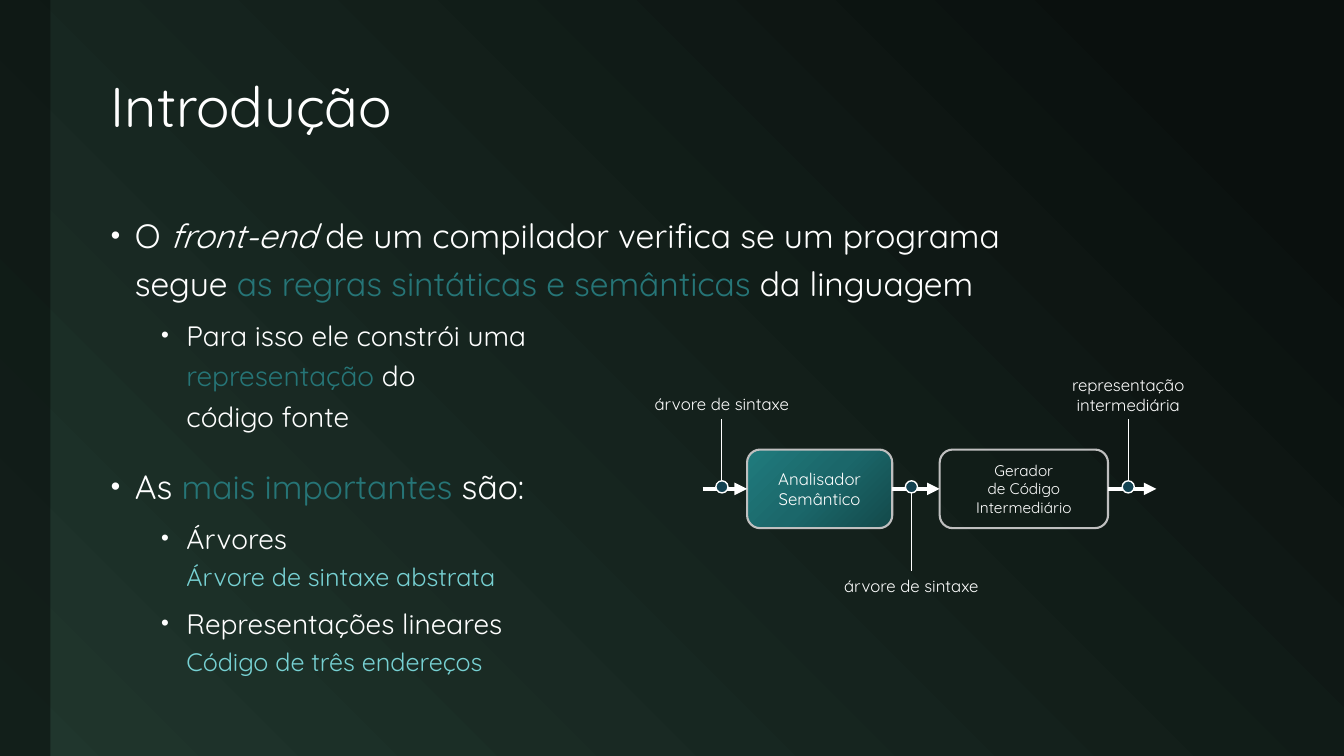
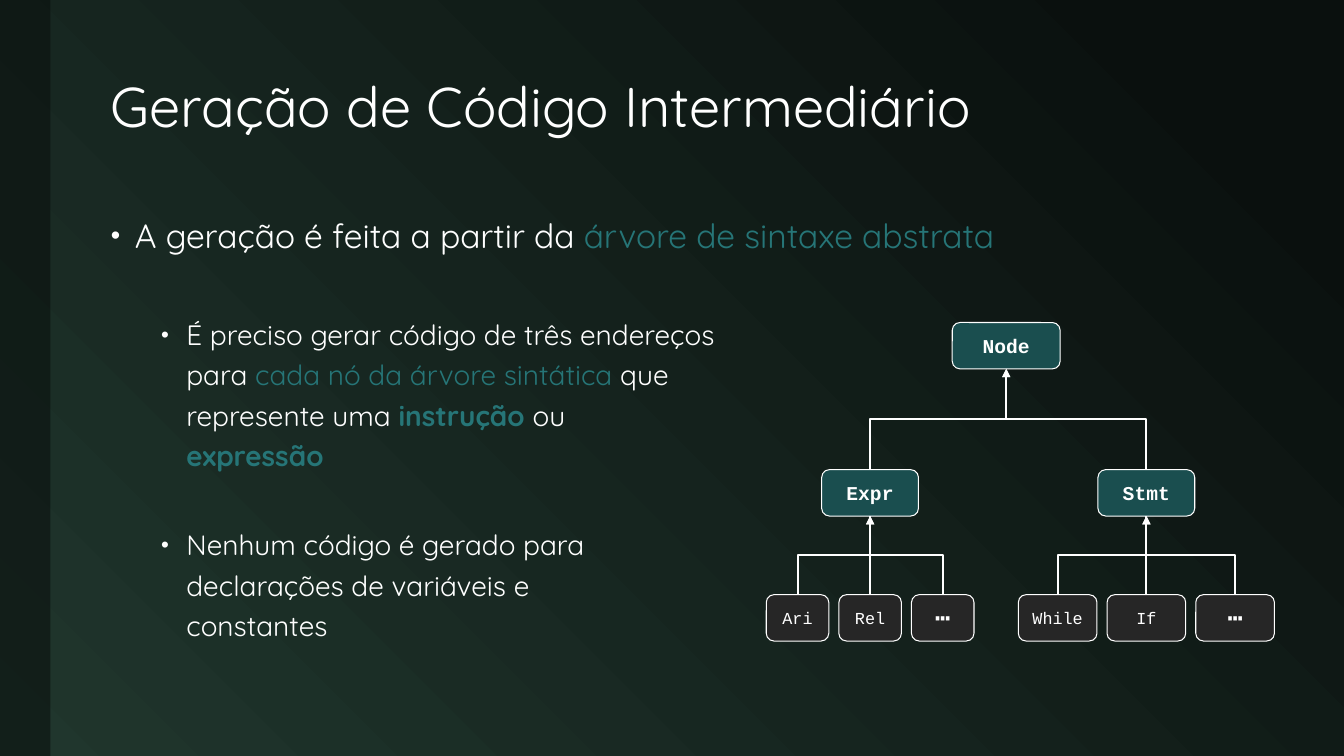
from lxml import etree
from pptx import Presentation
from pptx.dml.color import RGBColor
from pptx.enum.shapes import MSO_CONNECTOR as LINK, MSO_SHAPE as SHAPE
from pptx.enum.text import MSO_ANCHOR as ANCHOR, MSO_AUTO_SIZE as FIT, PP_ALIGN as ALIGN
from pptx.oxml.ns import qn
from pptx.util import Inches, Pt

COLORS = {
    "night": "0A100E", "forest": "20362D", "white": "FFFFFF", "silver": "BFBFBF",
    "term": "267577", "note": "77D1D3", "marker": "134251", "node": "1A4E4F", "leaf": "262626",
    "box_dark": "13494A", "box_mid": "1B676A", "box_light": "207B7D",
}
SANS, MONO = "Quicksand", "Courier New"
RUN_STYLES = {
    "plain": {},
    "italic": {"italic": True},
    "term": {"color": "term"},
    "strong": {"color": "term", "bold": True},
    "note": {"color": "note", "size": 18},
}
LEVELS = [
    {"size": 24, "margin": 0.24, "hanging": 0.24, "before": 18},
    {"size": 20, "margin": 0.75, "hanging": 0.25, "before": 6},
]
INTRO = [
    (0, None, [("O ", "plain"), ("front-end", "italic"),
               (" de um compilador verifica se um programa\nsegue ", "plain"),
               ("as regras sintáticas e semânticas", "term"), (" da linguagem", "plain")]),
    (1, None, [("Para isso ele constrói uma\n", "plain"), ("representação ", "term"),
               ("do\ncódigo fonte", "plain")]),
    (0, None, [("As ", "plain"), ("mais importantes ", "term"), ("são:", "plain")]),
    (1, None, [("Árvores\n", "plain"), ("Árvore de sintaxe abstrata", "note")]),
    (1, None, [("Representações lineares\n", "plain"), ("Código de três endereços", "note")]),
]
GENERATION = [
    (0, None, [("A geração é feita a partir da ", "plain"), ("árvore de sintaxe abstrata", "term")]),
    (1, 40, [("É preciso gerar código de três endereços\npara ", "plain"),
             ("cada nó da árvore sintática", "term"), (" que\nrepresente uma ", "plain"),
             ("instrução ", "strong"), ("ou\n", "plain"), ("expressão", "strong")]),
    (1, 35, [("Nenhum código é gerado para\ndeclarações de variáveis e\nconstantes", "plain")]),
]


def rgb(name):
    return RGBColor.from_string(COLORS[name])


def style_font(font, size, color="white", face=SANS, bold=False, italic=False):
    font.name, font.size, font.bold, font.italic = face, Pt(size), bold, italic
    font.color.rgb = rgb(color)


def set_gradient(fill, owner, stops, angle):
    fill.gradient()
    fill.gradient_angle = angle
    stop_list = owner.find(".//" + qn("a:gsLst"))
    for old_stop in list(stop_list):
        stop_list.remove(old_stop)
    for position, color in stops:
        stop = etree.SubElement(stop_list, qn("a:gs"), pos=str(position * 1000))
        etree.SubElement(stop, qn("a:srgbClr"), val=COLORS[color])


def add_filled(slide, preset, place, color=None, border=None, weight=1):
    shape = slide.shapes.add_shape(preset, *(Inches(value) for value in place))
    shape.shadow.inherit = False
    if color:
        shape.fill.solid()
        shape.fill.fore_color.rgb = rgb(color)
    else:
        shape.fill.background()
    if border:
        shape.line.color.rgb = rgb(border)
        shape.line.width = Pt(weight)
    else:
        shape.line.fill.background()
    return shape


def write_centered(frame, text, size, **font_style):
    frame.text = text
    for paragraph in frame.paragraphs:
        paragraph.alignment = ALIGN.CENTER
        for run in paragraph.runs:
            style_font(run.font, size, **font_style)


def add_box(slide, place, text, size, color=None, border="white", weight=0.75, **font_style):
    box = add_filled(slide, SHAPE.ROUNDED_RECTANGLE, place, color, border, weight)
    box.text_frame.word_wrap = True
    box.text_frame.vertical_anchor = ANCHOR.MIDDLE
    write_centered(box.text_frame, text, size, **font_style)
    return box


def add_label(slide, place, text):
    frame = slide.shapes.add_textbox(*(Inches(value) for value in place)).text_frame
    frame.word_wrap = False
    frame.auto_size = FIT.SHAPE_TO_FIT_TEXT
    write_centered(frame, text, 12)


def add_link(slide, start, end, weight, arrow=False, kind=LINK.STRAIGHT):
    link = slide.shapes.add_connector(kind, *start, *end)
    link.line.color.rgb = rgb("white")
    link.line.width = Pt(weight)
    properties = link.element.spPr
    if arrow:
        etree.SubElement(properties.find(qn("a:ln")), qn("a:tailEnd"), type="triangle")
    etree.SubElement(properties, qn("a:effectLst"))
    return link


def link_to_parent(slide, child, parent):
    x1, y1 = child.left + child.width // 2, child.top
    x2, y2 = parent.left + parent.width // 2, parent.top + parent.height
    straight = abs(x1 - x2) < Inches(0.02)
    kind = LINK.STRAIGHT if straight else LINK.ELBOW
    link = add_link(slide, (x1, y1), (x2, y2), 1.5, not straight, kind)
    link.begin_connect(child, 0)
    link.end_connect(parent, 2)
    if straight:
        return
    rise, run = y1 - y2, abs(x1 - x2)
    link.left, link.top = (x1 + x2 - rise) // 2, (y1 + y2 - run) // 2
    link.width, link.height = rise, run
    from_left = x1 < x2
    link.rotation = 90 if from_left else 270
    link.element.spPr.find(qn("a:xfrm")).set("flipH", "1" if from_left else "0")


def add_bullet(paragraph, level):
    properties = paragraph._p.get_or_add_pPr()
    properties.set("marL", str(Inches(level["margin"])))
    properties.set("indent", str(-Inches(level["hanging"])))
    etree.SubElement(properties, qn("a:buSzPct"), val="80000")
    etree.SubElement(properties, qn("a:buFont"), typeface="Arial")
    etree.SubElement(properties, qn("a:buChar"), char="•")


def add_topics(slide, topics):
    frame = slide.shapes.add_textbox(Inches(1), Inches(2), Inches(11.65), Inches(4.83)).text_frame
    frame.word_wrap = True
    for index, (depth, before, parts) in enumerate(topics):
        paragraph = frame.add_paragraph() if index else frame.paragraphs[0]
        level = LEVELS[depth]
        paragraph.level = depth
        add_bullet(paragraph, level)
        paragraph.line_spacing = 1.2
        if index:
            paragraph.space_before = Pt(before or level["before"])
        for text, style in parts:
            for number, line in enumerate(text.split("\n")):
                if number:
                    paragraph.add_line_break()
                if line:
                    run = paragraph.add_run()
                    run.text = line
                    style_font(run.font, **{"size": level["size"], **RUN_STYLES[style]})


def add_topic_slide(prs, title_text, topics):
    slide = prs.slides.add_slide(prs.slide_layouts[5])
    band = add_filled(slide, SHAPE.RECTANGLE, (0, 0, 0.5, 7.5), "night")
    band_color = band.element.spPr.find(qn("a:solidFill"))[0]
    etree.SubElement(band_color, qn("a:alpha"), val="60000")
    title = slide.shapes.title
    title.left, title.top, title.width, title.height = map(Inches, (1, 0.42, 11.65, 1.33))
    frame = title.text_frame
    frame.text = title_text
    frame.auto_size = FIT.NONE
    frame.vertical_anchor = ANCHOR.MIDDLE
    heading = frame.paragraphs[0]
    heading.alignment = ALIGN.LEFT
    heading.line_spacing = 0.9
    style_font(heading.runs[0].font, 40)
    add_topics(slide, topics)
    return slide


def draw_pipeline(slide):
    axis, height, dot = 4.85, 0.78, 0.12
    top = axis - height / 2
    analyzer = add_box(slide, (7.41, top, 1.44, height), "Analisador\nSemântico", 12,
                       "box_dark", "silver", 1.5)
    set_gradient(analyzer.fill, analyzer.element.spPr,
                 [(0, "box_dark"), (50, "box_mid"), (100, "box_light")], 135)
    generator = add_box(slide, (9.32, top, 1.67, height), "Gerador\nde Código Intermediário", 11,
                        border="silver", weight=1.5)
    flows = [(6.97, 7.41, None, analyzer), (8.85, 9.32, analyzer, generator),
             (10.99, 11.47, generator, None)]
    for start, end, source, target in flows:
        flow = add_link(slide, (Inches(start), Inches(axis)), (Inches(end), Inches(axis)), 3, True)
        if source:
            flow.begin_connect(source, 3)
        if target:
            flow.end_connect(target, 1)
    stages = [(7.16, 4.16, 3.86, 1.61, 0.3, "árvore de sintaxe"),
              (9.04, 5.66, 5.66, 1.61, 0.3, "árvore de sintaxe"),
              (11.19, 4.16, 3.67, 1.42, 0.5, "representação\nintermediária")]
    for x, stem_end, label_top, label_width, label_height, text in stages:
        add_link(slide, (Inches(x), Inches(stem_end)), (Inches(x), Inches(axis)), 0.75)
        add_filled(slide, SHAPE.OVAL, (x - dot / 2, axis - 0.02 - dot / 2, dot, dot),
                   "marker", "white")
        add_label(slide, (x - label_width / 2, label_top, label_width, label_height), text)


def add_node(slide, center, top, width, text):
    return add_box(slide, (center - width / 2, top, width, 0.46), text, 14, "node",
                   face=MONO, bold=True)


def draw_tree(slide):
    root = add_node(slide, 9.98, 3.2, 1.07, "Node")
    leaf_gap = 0.1
    families = [("Expr", 8.63, 0.62, ["Ari", "Rel", "┅"]),
                ("Stmt", 11.37, 0.78, ["While", "If", "┅"])]
    for name, center, leaf_width, leaves in families:
        parent = add_node(slide, center, 4.66, 0.96, name)
        link_to_parent(slide, parent, root)
        for index, text in enumerate(leaves):
            left = center - leaf_width / 2 + (index - 1) * (leaf_width + leaf_gap)
            size, face = (18, SANS) if text == "┅" else (12, MONO)
            leaf = add_box(slide, (left, 5.9, leaf_width, 0.46), text, size, "leaf", face=face)
            link_to_parent(slide, leaf, parent)


def main():
    prs = Presentation()
    prs.slide_width, prs.slide_height = Inches(13.33), Inches(7.5)
    master = prs.slide_master
    set_gradient(master.background.fill, master.element, [(10, "night"), (100, "forest")], 225)
    draw_pipeline(add_topic_slide(prs, "Introdução", INTRO))
    draw_tree(add_topic_slide(prs, "Geração de Código Intermediário", GENERATION))
    prs.save("out.pptx")


if __name__ == "__main__":
    main()
